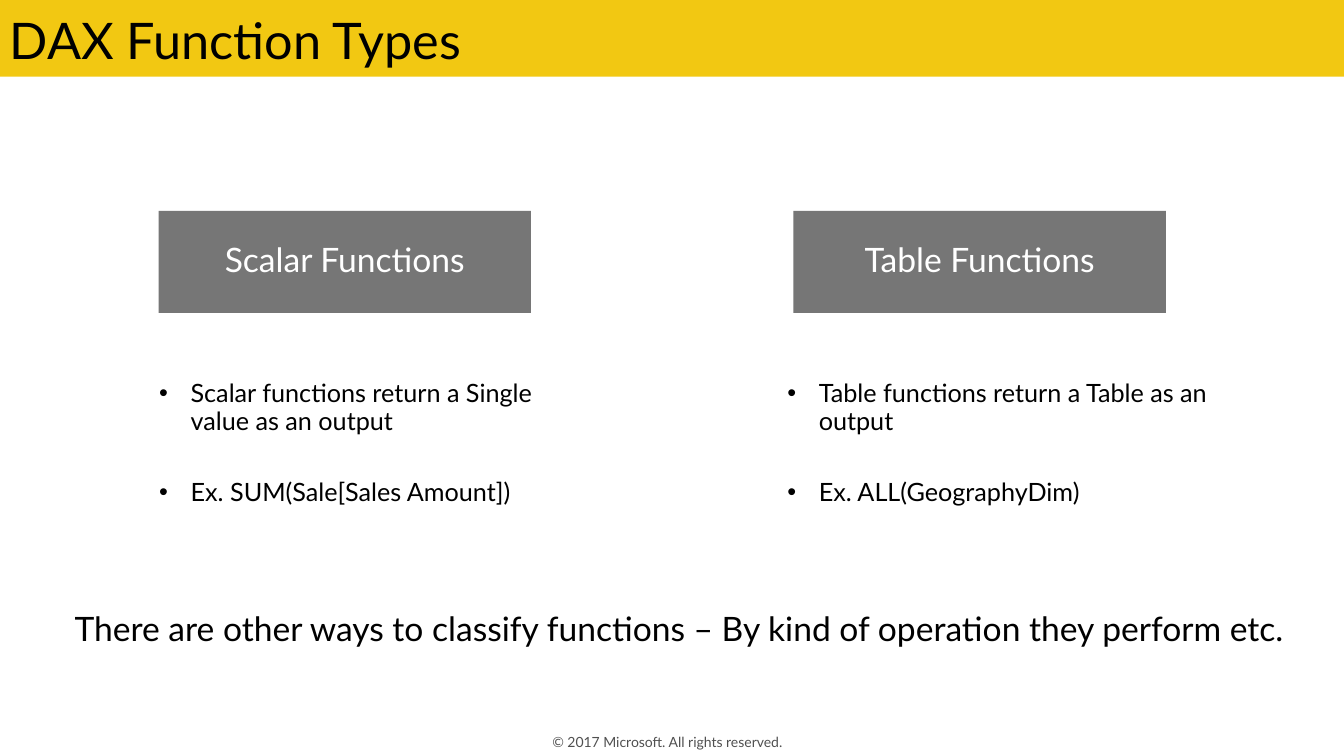
from lxml.etree import SubElement
from pptx import Presentation
from pptx.dml.color import RGBColor
from pptx.enum.shapes import MSO_SHAPE
from pptx.enum.text import MSO_ANCHOR, PP_ALIGN
from pptx.oxml.ns import qn
from pptx.util import Pt

THEME = {
    "font": "Lato",
    "yellow": RGBColor(0xF2, 0xC8, 0x12),
    "gray": RGBColor(0x76, 0x76, 0x76),
    "black": RGBColor(0, 0, 0),
    "white": RGBColor(0xFF, 0xFF, 0xFF),
    "footer": RGBColor(0x50, 0x50, 0x50),
    "title_size": Pt(36),
    "heading_size": Pt(24),
    "body_size": Pt(18),
    "footer_size": Pt(10),
}
NORMAL = (7.2, 3.6, 7.2, 3.6)
WIDE = (14.4, 11.5, 14.4, 11.5)
FOOTER = (0, 0, 7.2, 0)

prs = Presentation()
prs.slide_width, prs.slide_height = Pt(960), Pt(540)
s = prs.slides.add_slide(prs.slide_layouts[6])


def add_rect(box, color):
    sp = s.shapes.add_shape(MSO_SHAPE.RECTANGLE, *map(Pt, box))
    sp.shadow.inherit = False
    sp.fill.solid()
    sp.fill.fore_color.rgb = color
    sp.line.fill.background()
    return sp


def write(sp, lines, size, color, insets=NORMAL, anchor=MSO_ANCHOR.TOP, bullet=False, **para):
    tf = sp.text_frame
    left, top, right, bottom = map(Pt, insets)
    frame = {"word_wrap": True, "vertical_anchor": anchor, "margin_left": left,
             "margin_top": top, "margin_right": right, "margin_bottom": bottom}
    for name, value in frame.items():
        setattr(tf, name, value)
    for i, line in enumerate(lines):
        p = tf.add_paragraph() if i else tf.paragraphs[0]
        for name, value in para.items():
            setattr(p, name, value)
        if bullet:
            pPr = p._p.get_or_add_pPr()
            pPr.set("marL", str(Pt(22.5)))
            pPr.set("indent", str(-Pt(22.5)))
            SubElement(pPr, qn("a:buFont")).set("typeface", "Arial")
            SubElement(pPr, qn("a:buChar")).set("char", "•")
        r = p.add_run()
        r.text = line
        r.font.name = THEME["font"]
        r.font.size = THEME[size]
        r.font.color.rgb = THEME[color]


add_rect((0, 0, 960, 54.7), THEME["yellow"])
sp = s.shapes.add_textbox(Pt(0), Pt(2.9), Pt(902), Pt(51.8))
write(sp, ["DAX Function Types"], "title_size", "black")

columns = [
    ("Scalar Functions", 113.3, 106.6,
     ["Scalar functions return a Single value as an output", "Ex. SUM(Sale[Sales Amount])"]),
    ("Table Functions", 566.8, 555.3,
     ["Table functions return a Table as an output", "Ex. ALL(GeographyDim)"]),
]
for heading, box_left, list_left, points in columns:
    sp = add_rect((box_left, 150.6, 266, 73), THEME["gray"])
    write(sp, [heading], "heading_size", "white", WIDE, MSO_ANCHOR.MIDDLE,
          alignment=PP_ALIGN.CENTER, line_spacing=0.9)
    sp = s.shapes.add_textbox(Pt(list_left), Pt(268.6), Pt(319), Pt(98))
    write(sp, points, "body_size", "black", bullet=True,
          line_spacing=0.9, space_after=Pt(31.5))

sp = s.shapes.add_textbox(Pt(38.9), Pt(426.2), Pt(906), Pt(49.7))
write(sp, ["There are other ways to classify functions – By kind of operation they perform etc."],
      "heading_size", "black", WIDE, line_spacing=0.9)

sp = s.shapes.add_textbox(Pt(318.2), Pt(520.6), Pt(324), Pt(18))
write(sp, ["© 2017 Microsoft. All rights reserved."], "footer_size", "footer",
      FOOTER, MSO_ANCHOR.MIDDLE, alignment=PP_ALIGN.CENTER)

prs.save("out.pptx")
